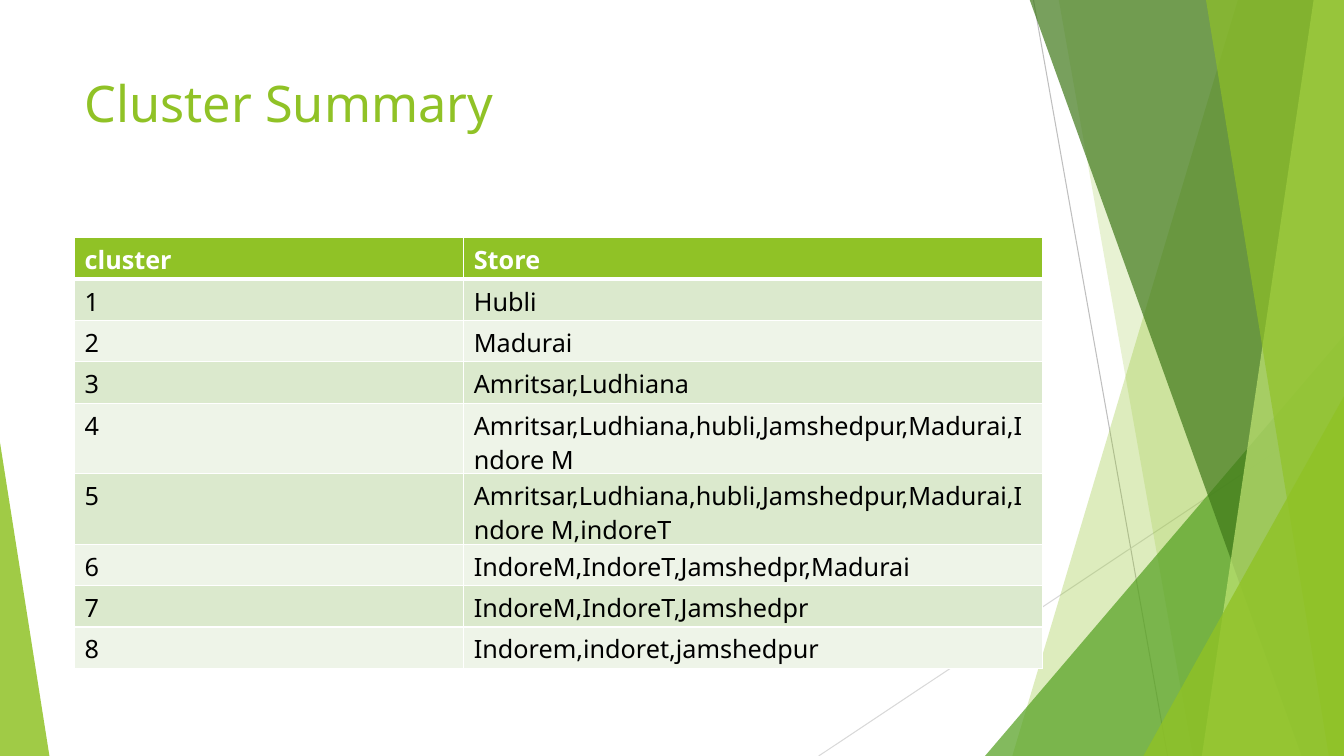
from lxml.etree import SubElement
from pptx import Presentation
from pptx.dml.color import RGBColor
from pptx.enum.shapes import MSO_CONNECTOR, MSO_SHAPE
from pptx.oxml.ns import qn
from pptx.util import Inches, Pt

COLORS = {
    "lime": "90C226", "leaf": "54A021", "forest": "3F7819", "pale": "C0E474",
    "gray": "BFBFBF", "silver": "D9D9D9", "white": "FFFFFF", "black": "000000",
    "odd": "DBE9CD", "even": "EEF4E8",
}
WIDTH, HEIGHT, TOP = 13.33, 7.5, -0.01


class Deck:
    font = "Noto Sans"

    def __init__(self):
        self.prs = Presentation()
        self.prs.slide_width = Inches(WIDTH)
        self.prs.slide_height = Inches(HEIGHT)
        self.slide = self.prs.slides.add_slide(self.prs.slide_layouts[6])
        self.shapes = self.slide.shapes
        back = self.slide.background.fill
        back.solid()
        back.fore_color.rgb = self.color("white")

    def color(self, name):
        return RGBColor.from_string(COLORS[name])

    def paint(self, shape, name, alpha):
        shape.shadow.inherit = False
        shape.line.fill.background()
        shape.fill.solid()
        shape.fill.fore_color.rgb = self.color(name)
        tone = shape._element.spPr.find(qn("a:solidFill"))[0]
        SubElement(tone, qn("a:alpha"), val=str(alpha * 1000))

    def line(self, start, end, name):
        ends = [Inches(n) for n in (*start, *end)]
        rule = self.shapes.add_connector(MSO_CONNECTOR.STRAIGHT, *ends)
        rule.line.width = Pt(0.75)
        rule.line.color.rgb = self.color(name)
        SubElement(rule._element.spPr, qn("a:effectLst"))

    def shard(self, upper, lower, name, alpha):
        pts = [(upper, TOP), (WIDTH, TOP), (WIDTH, HEIGHT), (lower, HEIGHT)]
        pts = [(Inches(x), Inches(y)) for x, y in pts]
        pen = self.shapes.build_freeform(*pts[0])
        pen.add_line_segments(pts[1:], close=True)
        self.paint(pen.convert_to_shape(), name, alpha)

    def wedge(self, left, top, width, apex, name, alpha):
        box = [Inches(n) for n in (left, top, width, HEIGHT - top)]
        shape = self.shapes.add_shape(MSO_SHAPE.ISOSCELES_TRIANGLE, *box)
        shape.adjustments[0] = apex
        self.paint(shape, name, alpha)

    def label(self, frame, text, size, name, bold=False):
        par = frame.paragraphs[0]
        par.text = text
        par.font.name = self.font
        par.font.size = Pt(size)
        par.font.bold = bold
        par.font.color.rgb = self.color(name)

    def title(self, text, left, top, width, height):
        box = [Inches(n) for n in (left, top, width, height)]
        frame = self.shapes.add_textbox(*box).text_frame
        frame.word_wrap = True
        self.label(frame, text, 36, "lime")

    def edge(self, cell, head):
        props = cell._tc.get_or_add_tcPr()
        for side in "LRTB":
            width = Pt(3 if head and side == "B" else 1)
            line = SubElement(props, qn("a:ln" + side), w=str(width))
            fill = SubElement(line, qn("a:solidFill"))
            SubElement(fill, qn("a:srgbClr"), val=COLORS["white"])

    def table(self, rows, left, top, widths, height):
        box = [Inches(n) for n in (left, top, sum(widths), height * len(rows))]
        table = self.shapes.add_table(len(rows), len(widths), *box).table
        table.horz_banding = False
        for col, width in zip(table.columns, widths):
            col.width = Inches(width)
        for i, row in enumerate(rows):
            table.rows[i].height = Inches(height)
            head = i == 0
            tone = "lime" if head else "odd" if i % 2 else "even"
            for j, text in enumerate(row):
                cell = table.cell(i, j)
                self.edge(cell, head)
                cell.fill.solid()
                cell.fill.fore_color.rgb = self.color(tone)
                ink = "white" if head else "black"
                self.label(cell.text_frame, text, 18, ink, head)


def main():
    deck = Deck()
    deck.line((10.25, 0), (11.58, HEIGHT), "gray")
    deck.line((WIDTH, 4.03), (8.12, HEIGHT), "silver")
    deck.shard(12.28, 10.04, "lime", 30)
    deck.shard(10.5, 11.83, "lime", 20)
    deck.wedge(9.77, 3.33, 3.56, 1, "leaf", 72)
    deck.shard(10.21, 12.91, "forest", 70)
    deck.shard(13.03, 11.92, "pale", 70)
    deck.shard(11.96, 13.18, "lime", 65)
    deck.wedge(11.34, 3.93, 1.99, 1, "lime", 80)
    deck.wedge(0, 4.39, 0.49, 0, "lime", 85)
    deck.title("Cluster Summary", 0.74, 0.67, 9.4, 1.44)
    stores = [
        "Hubli",
        "Madurai",
        "Amritsar,Ludhiana",
        "Amritsar,Ludhiana,hubli,Jamshedpur,Madurai,Indore M",
        "Amritsar,Ludhiana,hubli,Jamshedpur,Madurai,Indore M,indoreT",
        "IndoreM,IndoreT,Jamshedpr,Madurai",
        "IndoreM,IndoreT,Jamshedpr",
        "Indorem,indoret,jamshedpur",
    ]
    rows = [("cluster", "Store")]
    rows += [(str(n), store) for n, store in enumerate(stores, 1)]
    deck.table(rows, 0.74, 2.36, (3.86, 5.74), 0.41)
    deck.prs.save("out.pptx")


if __name__ == "__main__":
    main()
